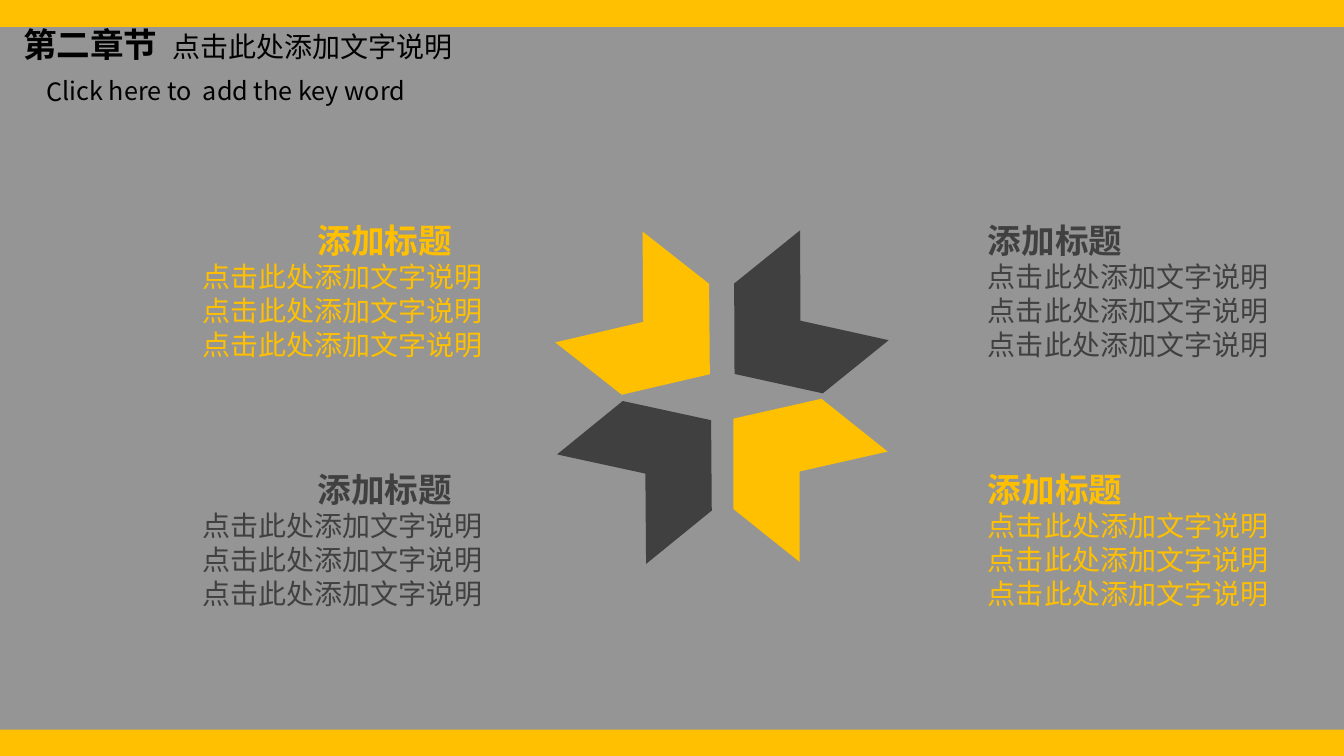
"""Build a chapter slide with four chevrons and four captioned text blocks."""
from dataclasses import dataclass

from lxml.etree import SubElement
from pptx import Presentation
from pptx.dml.color import RGBColor
from pptx.enum.shapes import MSO_SHAPE as Preset
from pptx.enum.text import MSO_AUTO_SIZE as AutoSize
from pptx.oxml.ns import qn
from pptx.slide import Slide
from pptx.text.text import TextFrame, _Paragraph as Paragraph
from pptx.util import Inches, Pt

YELLOW = RGBColor(0xFE, 0xC0, 0x00)
CHARCOAL = RGBColor(0x40, 0x40, 0x40)
GRAY = RGBColor(0x95, 0x95, 0x95)
BLACK = RGBColor(0x00, 0x00, 0x00)
FONT = "Noto Sans CJK SC"
TITLE = {"size": Pt(24), "bold": True, "name": FONT}
DETAIL = {"size": Pt(20), "bold": False, "name": FONT}
KEYWORD = {"size": Pt(18), "bold": False, "name": FONT}
HINT = "点击此处添加文字说明"


@dataclass(frozen=True)
class Petal:
    left: float
    top: float
    rotation: float
    color: RGBColor


@dataclass(frozen=True)
class Caption:
    left: float
    top: float
    title_indent: float
    color: RGBColor


PETALS = [
    Petal(5.79, 2.58, 38.2, YELLOW),
    Petal(7.13, 2.57, 141.1, CHARCOAL),
    Petal(5.81, 3.91, 320.9, CHARCOAL),
    Petal(7.12, 3.89, 218.6, YELLOW),
]
CAPTIONS = [
    Caption(9.7, 2.13, 0, CHARCOAL),
    Caption(9.7, 4.6, 0, YELLOW),
    Caption(1.91, 2.13, 1.14, YELLOW),
    Caption(1.91, 4.6, 1.14, CHARCOAL),
]


def add_block(slide: Slide, left: float, top: float, width: float, height: float,
              rotation: float = 0) -> TextFrame:
    box = slide.shapes.add_textbox(Inches(left), Inches(top), Inches(width), Inches(height))
    box.rotation = rotation
    frame = box.text_frame
    frame.word_wrap = True
    frame.auto_size = AutoSize.SHAPE_TO_FIT_TEXT
    return frame


def write(paragraph: Paragraph, text: str, style: dict, color: RGBColor) -> None:
    run = paragraph.add_run()
    run.text = text
    for attribute, value in style.items():
        setattr(run.font, attribute, value)
    run.font.color.rgb = color
    SubElement(run.font._element, qn("a:ea"), typeface=FONT)


def add_filled(slide: Slide, preset: Preset, left: float, top: float,
               width: float, height: float, color: RGBColor):
    shape = slide.shapes.add_shape(
        preset, Inches(left), Inches(top), Inches(width), Inches(height))
    shape.shadow.inherit = False
    shape.fill.solid()
    shape.fill.fore_color.rgb = color
    shape.line.fill.background()
    return shape


def add_heading(slide: Slide) -> None:
    chapter = add_block(slide, 0.13, 0.19, 4.51, 0.5).paragraphs[0]
    tabs = SubElement(chapter._p.get_or_add_pPr(), qn("a:tabLst"))
    SubElement(tabs, qn("a:tab"), pos=str(Inches(1.48)), algn="l")
    write(chapter, "第二章节\t", TITLE, BLACK)
    write(chapter, HINT, DETAIL, BLACK)
    keyword = add_block(slide, 0.36, 0.7, 4.05, 0.4, 359.9).paragraphs[0]
    write(keyword, "Click here to  add the key word", KEYWORD, BLACK)


def add_petal(slide: Slide, petal: Petal) -> None:
    chevron = add_filled(slide, Preset.CHEVRON, petal.left, petal.top, 1.4, 1.4, petal.color)
    chevron.adjustments[0] = 0.4
    chevron.rotation = petal.rotation


def add_caption(slide: Slide, caption: Caption) -> None:
    frame = add_block(slide, caption.left, caption.top, 3.32, 1.51)
    title = frame.paragraphs[0]
    title._p.get_or_add_pPr().set("marL", str(Inches(caption.title_indent)))
    write(title, "添加标题", TITLE, caption.color)
    for _ in range(3):
        write(frame.add_paragraph(), HINT, DETAIL, caption.color)


def main() -> None:
    deck = Presentation()
    deck.slide_width, deck.slide_height = Inches(13.33), Inches(7.5)
    slide = deck.slides.add_slide(deck.slide_layouts[6])
    slide.background.fill.solid()
    slide.background.fill.fore_color.rgb = YELLOW
    add_filled(slide, Preset.RECTANGLE, 0, 0.27, 13.33, 6.97, GRAY)
    add_heading(slide)
    for petal in PETALS:
        add_petal(slide, petal)
    for caption in CAPTIONS:
        add_caption(slide, caption)
    deck.save("out.pptx")


if __name__ == "__main__":
    main()
